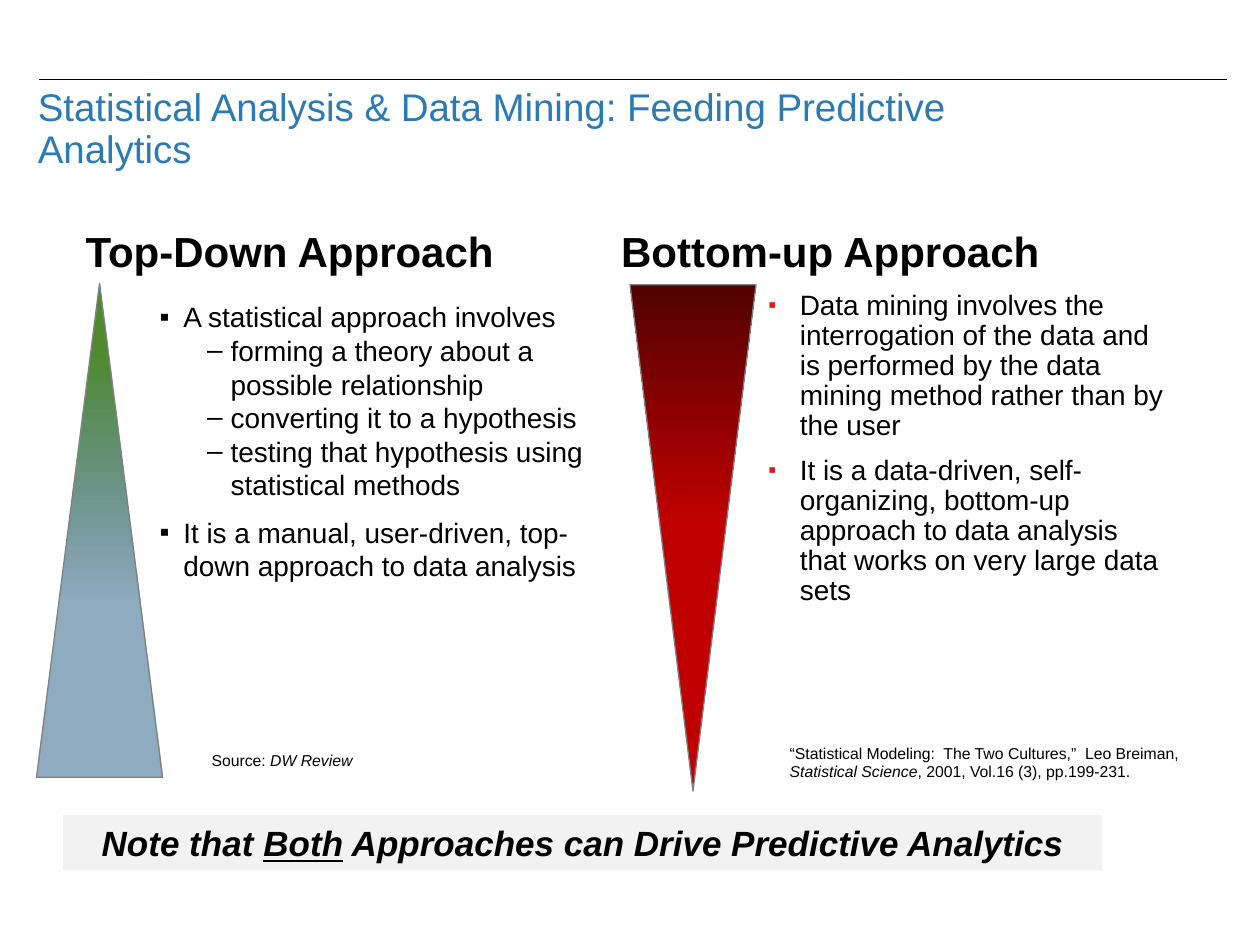
from pptx import Presentation
from pptx.dml.color import RGBColor
from pptx.enum.shapes import MSO_CONNECTOR, MSO_SHAPE as SHAPE
from pptx.enum.text import MSO_ANCHOR, MSO_AUTO_SIZE, PP_ALIGN
from pptx.oxml import parse_xml
from pptx.oxml.ns import nsdecls
from pptx.util import Pt

THEME = {
    "font": "Arial",
    "text": "000000", "title": "2D7AB3", "accent": "E41712",
    "outline": "808080", "band": "F2F2F2",
    "title_size": 22, "head_size": 24, "body_size": 16,
    "source_size": 9, "note_size": 20,
}
ITALIC, UNDERLINE = {"italic": True}, {"underline": True}


def rgb(name):
    return RGBColor.from_string(THEME[name])


def add_runs(p, runs, size, color="text", **common):
    """Add (text, formats) runs that share a size, a colour and common formats."""
    for text, formats in runs:
        r = p.add_run()
        r.text = text
        r.font.color.rgb = rgb(color)
        values = {"name": THEME["font"], "size": Pt(THEME[size])} | common | formats
        for key, value in values.items():
            setattr(r.font, key, value)


prs = Presentation()
prs.slide_width, prs.slide_height = Pt(720), Pt(540)
slide = prs.slides.add_slide(prs.slide_layouts[5])
shapes = slide.shapes

# Rule above the title
rule = shapes.add_connector(MSO_CONNECTOR.STRAIGHT, Pt(22.3), Pt(45.4), Pt(701.3), Pt(45.4))
rule.line.color.rgb = rgb("text")
rule.line.width = Pt(0.75)
rule._element.spPr.append(parse_xml(f"<a:effectLst {nsdecls('a')}/>"))

# Title
title = shapes.title
title.left, title.top, title.width, title.height = Pt(14.4), Pt(46.8), Pt(625), Pt(50.4)
tf = title.text_frame
tf.auto_size = MSO_AUTO_SIZE.NONE
tf.vertical_anchor = MSO_ANCHOR.TOP
p = tf.paragraphs[0]
p.alignment, p.line_spacing = PP_ALIGN.LEFT, 0.9
add_runs(p, [("Statistical Analysis & Data Mining: Feeding Predictive Analytics", {})],
         "title_size", "title")

# Gradient triangles: box, rotation, stops of (percent, colour, opacity)
triangles = [
    ((20.9, 162, 72, 282.2), 0, [(14, "508B2E", 100), (64, "205780", 50)]),
    ((360, 162.7, 72, 289.4), 180,
     [(0, "C00000", 100), (53, "C00000", 100), (100, "510101", 100)]),
]
for box, rotation, stops in triangles:
    sp = shapes.add_shape(SHAPE.ISOSCELES_TRIANGLE, *map(Pt, box))
    sp.rotation = rotation
    sp.shadow.inherit = False
    sp.line.color.rgb = rgb("outline")
    sp.line.width = Pt(0.75)
    stop_xml = "".join(
        f'<a:gs pos="{pos * 1000}"><a:srgbClr val="{color}">'
        f'<a:alpha val="{opacity * 1000}"/></a:srgbClr></a:gs>'
        for pos, color, opacity in stops)
    sp._element.spPr.prstGeom.addnext(parse_xml(
        f'<a:gradFill {nsdecls("a")} rotWithShape="1"><a:gsLst>{stop_xml}</a:gsLst>'
        '<a:lin ang="5400000" scaled="0"/></a:gradFill>'))

# Headings and sources: box, size, wrap, bold, runs
labels = [
    ((41.8, 125.3, 249.8, 36.7), "head_size", False, True, [("Top-Down Approach", {})]),
    ((347.8, 125.3, 255.6, 36.7), "head_size", False, True, [("Bottom-up Approach", {})]),
    ((113.8, 425.5, 246.2, 18), "source_size", True, False,
     [("Source: ", {}), ("DW Review", ITALIC)]),
    ((444.2, 421.2, 246.2, 28.8), "source_size", True, False,
     [("“Statistical Modeling:  The Two Cultures,”  Leo Breiman, ", {}),
      ("Statistical Science", ITALIC), (", 2001, Vol.16 (3), pp.199-231.", {})]),
]
for box, size, wrap, bold, runs in labels:
    tf = shapes.add_textbox(*map(Pt, box)).text_frame
    tf.word_wrap = wrap
    tf.auto_size = MSO_AUTO_SIZE.SHAPE_TO_FIT_TEXT
    add_runs(tf.paragraphs[0], runs, size, bold=bold)

# Bulleted columns: box, line spacing, bullet colour, bullet percent, hanging indent, (level, text)
columns = [
    ((84.2, 167.8, 270, 282.2), 1, "text", 100, 13.5, [
        (0, "A statistical approach involves"),
        (1, "forming a theory about a possible relationship"),
        (1, "converting it to a hypothesis"),
        (1, "testing that hypothesis using statistical methods"),
        (0, "It is a manual, user-driven, top-down approach to data analysis")]),
    ((432, 162.7, 239.8, 275.8), 0.9, "accent", 80, 18, [
        (0, "Data mining involves the interrogation of the data and is performed "
            "by the data mining method rather than by the user"),
        (0, "It is a data-driven, self-organizing, bottom-up approach to data "
            "analysis that works on very large data sets")]),
]
for box, spacing, bullet_color, bullet_size, hang, items in columns:
    tf = shapes.add_textbox(*map(Pt, box)).text_frame
    tf.word_wrap = True
    for i, (level, text) in enumerate(items):
        p = tf.add_paragraph() if i else tf.paragraphs[0]
        p.level, p.line_spacing = level, spacing
        p.space_before = Pt(8 if i and level == 0 else 0)
        add_runs(p, [(text, {})], "body_size")
        pPr = p._p.get_or_add_pPr()
        pPr.set("marL", str(Pt(hang + 27 * level)))
        pPr.set("indent", str(-Pt(hang)))
        for bullet in (f'<a:buClr {nsdecls("a")}><a:srgbClr val="{THEME[bullet_color]}"/></a:buClr>',
                       f'<a:buSzPct {nsdecls("a")} val="{bullet_size * 1000}"/>',
                       f'<a:buFont {nsdecls("a")} typeface="{THEME["font"]}"/>',
                       f'<a:buChar {nsdecls("a")} char="{"▪–"[level]}"/>'):
            pPr.append(parse_xml(bullet))

# Closing note
note = shapes.add_shape(SHAPE.RECTANGLE, Pt(36), Pt(465.8), Pt(594), Pt(31.7))
note.shadow.inherit = False
note.fill.solid()
note.fill.fore_color.rgb = rgb("band")
note.line.fill.background()
tf = note.text_frame
tf.word_wrap = True
tf.auto_size = MSO_AUTO_SIZE.SHAPE_TO_FIT_TEXT
p = tf.paragraphs[0]
p.alignment = PP_ALIGN.CENTER
add_runs(p, [("Note that ", {}), ("Both", UNDERLINE),
             (" Approaches can Drive Predictive Analytics", {})],
         "note_size", bold=True, italic=True)

prs.save("out.pptx")
